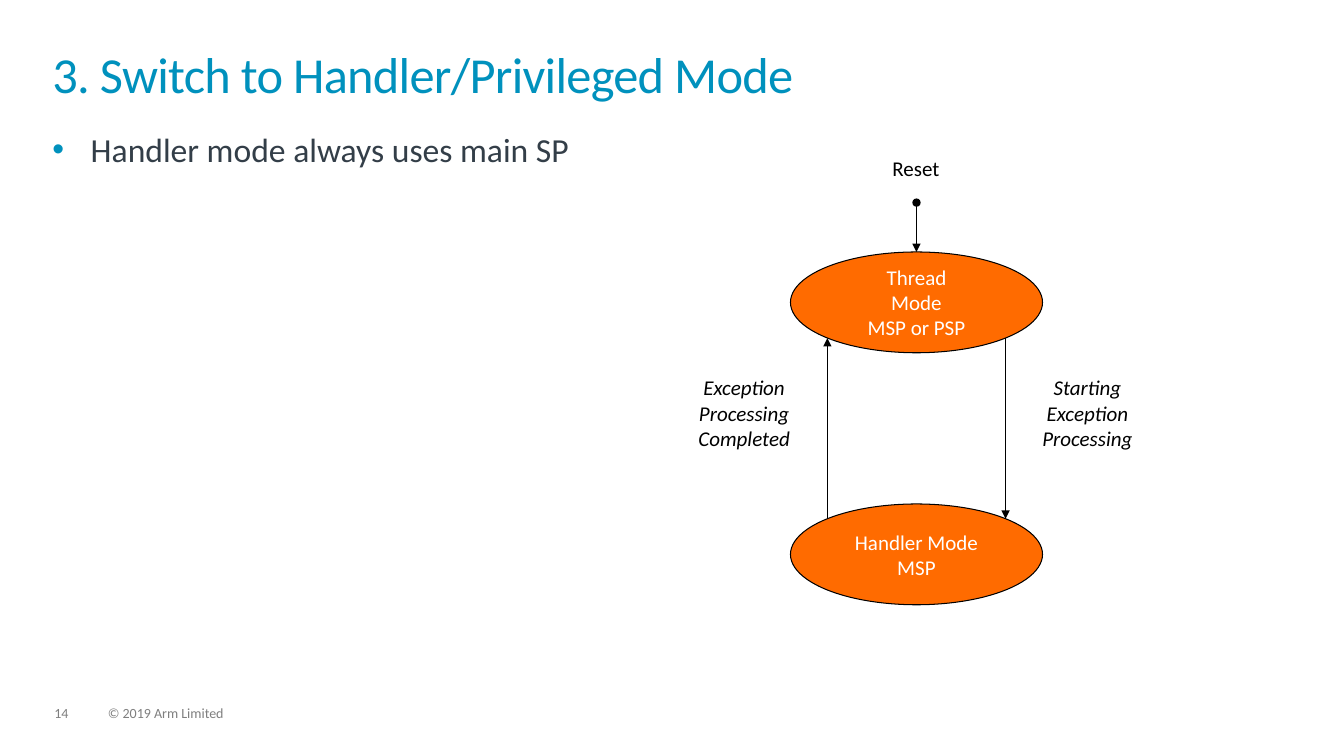
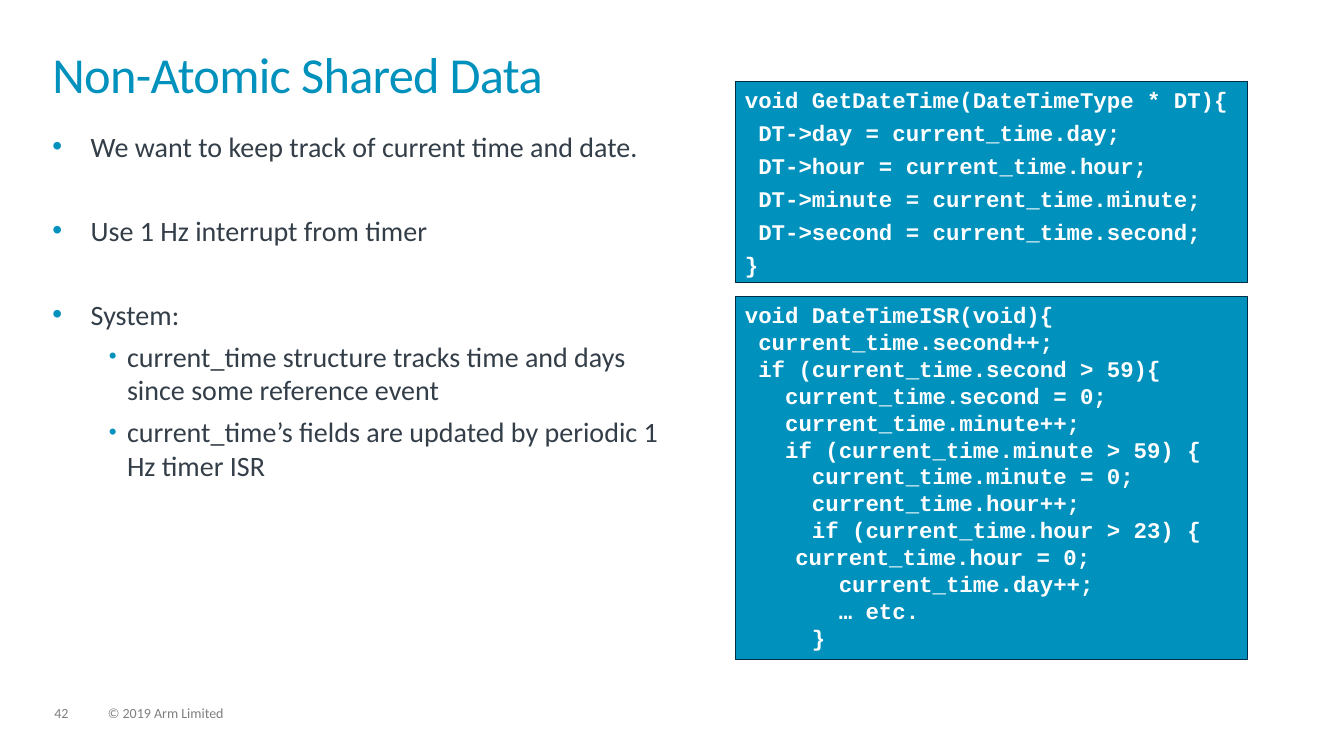
from math import sqrt

from lxml import etree
from pptx import Presentation
from pptx import util as u
from pptx.dml.color import RGBColor
from pptx.enum import shapes, text
from pptx.oxml.ns import qn

BLUE, SLATE, NAVY = "0091BD", "333E48", "002B49"
ORANGE, GREY, BLACK, WHITE = "FF6B00", "7F7F7F", "000000", "FFFFFF"
LEFT = 0.52

# Text formats
TITLE = dict(size=36, color=BLUE)
FOOT = dict(size=10, color=GREY)
STATE = dict(size=15, color=WHITE)
LABEL = dict(size=15, color=BLACK)
EVENT = dict(LABEL, italic=True)
CODE = dict(size=16, color=WHITE, bold=True, name="Courier New")
LEVELS = [(0.38, -0.38, 100), (0.74, -0.18, 80)]  # margin, indent, bullet %

# Content: bullets are (level, space before, text)
MODE = dict(
    num="14", title="3. Switch to Handler/Privileged Mode",
    width=12.28, size=24, items=[(0, 0, "Handler mode always uses main SP")])
STATES = [["Thread", "Mode", "MSP or PSP"], ["Handler Mode", "MSP"]]
LABELS = [
    ((8.75, 1.49, 0.67, 0.35), ["Reset"], LABEL),
    ((10.23, 3.67, 1.11, 0.86), ["Starting", "Exception", "Processing"], EVENT),
    ((6.82, 3.67, 1.12, 0.86), ["Exception", "Processing", "Completed"], EVENT),
]

DATA = dict(
    num="42", title="Non-Atomic Shared Data",
    width=6.14, size=20, items=[
        (0, 0, "We want to keep track of current time and date."),
        (0, 36, "Use 1 Hz interrupt from timer"),
        (0, 36, "System:"),
        (1, 6, "current_time structure tracks time and days since some "
               "reference event"),
        (1, 6, "current_time’s fields are updated by periodic 1 Hz timer ISR"),
    ])
GET = """void GetDateTime(DateTimeType * DT){
 DT->day = current_time.day;
 DT->hour = current_time.hour;
 DT->minute = current_time.minute;
 DT->second = current_time.second;
}"""
ISR = """void DateTimeISR(void){
 current_time.second++;
 if (current_time.second > 59){
   current_time.second = 0;
   current_time.minute++;
   if (current_time.minute > 59) {
     current_time.minute = 0;
     current_time.hour++;
     if (current_time.hour > 23) {
\tcurrent_time.hour = 0;
       current_time.day++;
       … etc.
     }"""
PANELS = [(0.81, 1.99, GET, 4.3), (2.94, 3.6, ISR, 0)]  # top, height, code, gap


def rgb(code):
    return RGBColor.from_string(code)


def child(node, tag, **attrs):
    return etree.SubElement(node, qn("a:" + tag), attrs)


def write(frame, lines, form, align=text.PP_ALIGN.LEFT, gaps=None, lead=None):
    """Fill a frame, one paragraph a line."""
    for i, line in enumerate(lines):
        para = frame.paragraphs[0] if i == 0 else frame.add_paragraph()
        para.alignment = align
        if lead:
            para.line_spacing = lead
        if i and gaps and gaps[i]:
            para.space_before = u.Pt(gaps[i])
        run = para.add_run()
        run.text = line
        for key, val in dict(dict(name="Calibri"), **form).items():
            if key == "color":
                run.font.color.rgb = rgb(val)
            else:
                setattr(run.font, key, u.Pt(val) if key == "size" else val)


def box(slide, at, pad=True, wrap=True):
    frame = slide.shapes.add_textbox(*map(u.Inches, at)).text_frame
    frame.word_wrap = wrap
    if not pad:
        for side in ("left", "top", "right", "bottom"):
            setattr(frame, "margin_" + side, 0)
    return frame


def block(slide, kind, at, fill, edge, anchor):
    shape = slide.shapes.add_shape(kind, *map(u.Inches, at))
    shape.shadow.inherit = False
    shape.fill.solid()
    shape.fill.fore_color.rgb = rgb(fill)
    shape.line.color.rgb = rgb(edge)
    shape.line.width = u.Pt(0.75)
    shape.text_frame.word_wrap = True
    shape.text_frame.vertical_anchor = anchor
    return shape


def arrow(slide, start, end, head=None):
    line = slide.shapes.add_connector(
        shapes.MSO_CONNECTOR.STRAIGHT, *map(u.Inches, start + end))
    line.line.color.rgb = rgb(BLACK)
    line.line.width = u.Pt(0.75)
    props = line.line._get_or_add_ln()
    if head:
        child(props, "headEnd", type=head)
    child(props, "tailEnd", type="triangle")
    child(line._element.spPr, "effectLst")
    return line


def bullet(para, level):
    margin, indent, size = LEVELS[level]
    props = para._p.get_or_add_pPr()
    props.set("marL", str(u.Inches(margin)))
    props.set("indent", str(u.Inches(indent)))
    para.level = level
    child(child(props, "buClr"), "srgbClr", val=BLUE)
    child(props, "buSzPct", val=str(size * 1000))
    child(props, "buFont", typeface="Arial")
    child(props, "buChar", char="•")


def page(deck, num, title, width, size, items):
    """Footer, title and bullets shared by every slide."""
    slide = deck.slides.add_slide(deck.slide_layouts[6])
    for left, wide, line in ((0.54, 0.34, num),
                             (1.07, 5.07, "© 2019 Arm Limited")):
        write(box(slide, (left, 7.01, wide, 0.15), False), [line], FOOT,
              lead=0.9)
    head = box(slide, (LEFT, 0.52, 12.28, 0.72), False)
    write(head, [title], TITLE, lead=0.85)
    head.paragraphs[0].runs[0].font._element.set("spc", "-50")
    body = box(slide, (LEFT, 1.28, width, 5.41), False)
    levels, gaps, lines = zip(*items)
    write(body, lines, dict(size=size, color=SLATE), gaps=gaps)
    for para, level in zip(body.paragraphs, levels):
        bullet(para, level)
    return slide


def modes(deck):
    slide = page(deck, **MODE)
    mid, wide, high, top, step = 9.09, 2.5, 1, 2.5, 2.5
    # States
    ovals = []
    for i, lines in enumerate(STATES):
        oval = block(slide, shapes.MSO_SHAPE.OVAL,
                     (mid - wide / 2, top + i * step, wide, high),
                     ORANGE, BLACK, text.MSO_ANCHOR.MIDDLE)
        write(oval.text_frame, lines, STATE, text.PP_ALIGN.CENTER)
        ovals.append(oval)
    # Transitions meet the ovals at their diagonals
    dx, dy = wide / 2 / sqrt(2), high / 2 / sqrt(2)
    upper, lower = top + high / 2 + dy, top + step + high / 2 - dy
    arrow(slide, (mid + dx, upper), (mid + dx, lower))
    arrow(slide, (mid - dx, lower), (mid - dx, upper))
    reset = arrow(slide, (mid, 2.01), (mid, top), "oval")
    reset.end_connect(ovals[0], 0)
    # Labels
    for at, lines, form in LABELS:
        write(box(slide, at, wrap=False), lines, form, text.PP_ALIGN.CENTER)


def shared(deck):
    slide = page(deck, **DATA)
    # Code panels
    for top, high, code, gap in PANELS:
        panel = block(slide, shapes.MSO_SHAPE.RECTANGLE,
                      (7.29, top, 5.08, high), BLUE, NAVY,
                      text.MSO_ANCHOR.TOP)
        lines = code.split("\n")
        write(panel.text_frame, lines, CODE, gaps=[gap] * len(lines))


def main():
    deck = Presentation()
    deck.slide_width, deck.slide_height = u.Inches(13.33), u.Inches(7.5)
    modes(deck)
    shared(deck)
    deck.save("out.pptx")


if __name__ == "__main__":
    main()
